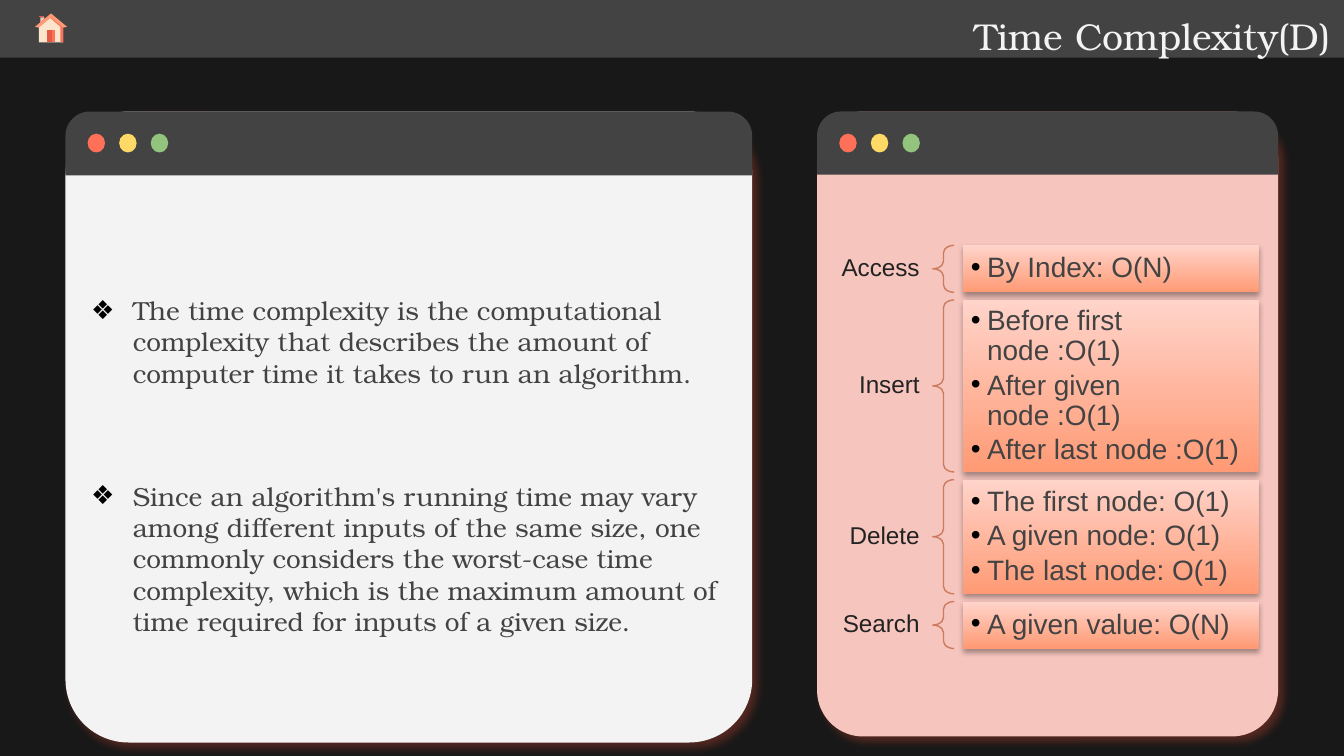
from dataclasses import dataclass

from lxml.etree import SubElement
from pptx import Presentation
from pptx.dml.color import RGBColor
from pptx.enum.shapes import MSO_SHAPE
from pptx.enum.text import MSO_ANCHOR, PP_ALIGN
from pptx.oxml.ns import qn
from pptx.util import Inches, Pt


@dataclass(frozen=True)
class Theme:
    back: str = "181818"
    bar: str = "434343"
    pale: str = "F3F3F3"
    pink: str = "F6C5BE"
    glow: str = "963A2A"
    label: str = "222222"
    black: str = "000000"
    brace: str = "CC7B5E"
    red: str = "FF7058"
    gold: str = "FFD966"
    green: str = "93C47D"
    rust: str = "E55A43"
    cream: str = "FCE5CD"
    peach: str = "FF9A75"
    blush: str = "FFD4CA"
    serif: str = "TeX Gyre Bonum"
    sans: str = "Arial"
    title: int = 20
    item: int = 15
    body: int = 14
    small: int = 13


def rgb(code):
    return RGBColor.from_string(code)


class Deck:
    """Draws on one slide; lengths are cells of a grid 100 columns wide."""

    def __init__(self, theme):
        self.theme = theme
        self.file = Presentation()
        self.file.slide_width = Inches(10)
        self.file.slide_height = self.file.slide_width * 9 // 16
        self.cell = self.file.slide_width / 100
        self.slide = self.file.slides.add_slide(self.file.slide_layouts[6])
        fill = self.slide.background.fill
        fill.solid()
        fill.fore_color.rgb = rgb(theme.back)

    def span(self, *cells):
        return [round(n * self.cell) for n in cells]

    def shape(self, kind, box, fill=None, adj=()):
        item = self.slide.shapes.add_shape(kind, *self.span(*box))
        for i, part in enumerate(adj):
            item.adjustments[i] = part
        return self.paint(item, fill)

    def paint(self, item, fill):
        item.shadow.inherit = False
        item.line.fill.background()
        if fill:
            item.fill.solid()
            item.fill.fore_color.rgb = rgb(fill)
        else:
            item.fill.background()
        return item

    def shade(self, item, color, alpha, blur, dist, angle):
        """Gives a shape an outer shadow; blur and distance are in points."""
        effects = item._element.spPr.find(qn("a:effectLst"))
        outer = SubElement(effects, qn("a:outerShdw"), blurRad=str(Pt(blur)),
                           dist=str(Pt(dist)), dir=str(angle * 60000),
                           algn="bl", rotWithShape="0")
        tone = SubElement(outer, qn("a:srgbClr"), val=color)
        SubElement(tone, qn("a:alpha"), val=str(alpha * 1000))

    def poly(self, points, fill):
        start, *rest = [self.span(*point) for point in points]
        form = self.slide.shapes.build_freeform(*start)
        form.add_line_segments(rest)
        self.paint(form.convert_to_shape(), fill)

    def text(self, box, lines, size, font, color, inset, align=PP_ALIGN.LEFT,
             pitch=1.0, after=0, mark=None, indent=0):
        frame = self.slide.shapes.add_textbox(*self.span(*box)).text_frame
        frame.word_wrap = True
        frame.vertical_anchor = MSO_ANCHOR.MIDDLE
        (frame.margin_left, frame.margin_top,
         frame.margin_right, frame.margin_bottom) = self.span(*inset)
        for i, line in enumerate(lines):
            para = frame.add_paragraph() if i else frame.paragraphs[0]
            para.alignment = align
            para.line_spacing = pitch
            para.space_after = Pt(after)
            if mark:
                self.bullet(para, mark, indent)
            run = para.add_run()
            run.text = line
            run.font.size = Pt(size)
            run.font.name = font
            run.font.color.rgb = rgb(color)
        return frame

    def bullet(self, para, mark, indent):
        props = para._p.get_or_add_pPr()
        left, = self.span(indent)
        props.set("marL", str(left))
        props.set("indent", str(-left))
        tone = SubElement(props, qn("a:buClr"))
        SubElement(tone, qn("a:srgbClr"), val=self.theme.black)
        SubElement(props, qn("a:buFont"), typeface=self.theme.sans)
        SubElement(props, qn("a:buChar"), char=mark)

    def window(self, left, top, wide, high, head, fill):
        """Draws a panel with a title strip and three round buttons."""
        t = self.theme
        panel = self.shape(MSO_SHAPE.ROUNDED_RECTANGLE,
                           (left, top, wide, high), fill, [0.1])
        self.shade(panel, t.glow, 47, 4.5, 3.8, 49)
        self.shape(MSO_SHAPE.ROUND_2_SAME_RECTANGLE,
                   (left, top, wide, head), t.bar, [0.38, 0])
        for i, color in enumerate((t.red, t.gold, t.green)):
            self.shape(MSO_SHAPE.OVAL,
                       (left + 1.65 + 2.35 * i, top + 1.65, 1.3, 1.4), color)

    def group(self, top, high, name, lines):
        """Draws one row: a label, a brace and a card of costs."""
        t = self.theme
        self.text((61.3, top + high / 2 - 1.6, 8.1, 3.2), [name], t.small,
                  t.sans, t.label, (1, 0.4, 1, 0.4), PP_ALIGN.RIGHT, 0.9)
        brace = self.shape(MSO_SHAPE.LEFT_BRACE, (69.4, top, 1.6, high),
                           adj=[0.35, 0.5])
        brace.line.color.rgb = rgb(t.brace)
        brace.line.width = Pt(0.75)
        box = 71.65, top, 22, high
        card = self.shape(MSO_SHAPE.RECTANGLE, box, t.peach)
        card.fill.gradient()
        card.fill.gradient_angle = 90
        for stop, color in zip(card.fill.gradient_stops, (t.peach, t.blush)):
            stop.color.rgb = rgb(color)
        self.shade(card, t.black, 35, 3.1, 1.8, 90)
        self.text(box, lines, t.item, t.sans, t.bar, [0.6] * 4,
                  pitch=0.9, after=2.25, mark="•", indent=1.2)

    def house(self):
        t = self.theme
        for fill, points in (
            (t.pink, [(3, 1.3), (3, 1.7), (3.3, 1.4), (3.3, 1.3)]),
            (t.cream, [(3.8, 1.2), (2.9, 2), (2.9, 3.15), (4.7, 3.15), (4.7, 2)]),
            (t.red, [(3.8, 1.2), (3.7, 1.3), (4.5, 2), (4.5, 3.15),
                     (4.7, 3.15), (4.7, 2)]),
            (t.rust, [(2.9, 1.2), (2.9, 1.3), (3.3, 1.3), (3.3, 1.2)]),
            (t.rust, [(3.5, 2.2), (3.5, 3.15), (4.1, 3.15), (4.1, 2.2)]),
            (t.red, [(3.9, 2.2), (3.9, 3.15), (4.1, 3.15), (4.1, 2.2)]),
            (t.peach, [(3.8, 1), (2.6, 2), (2.9, 2.05), (3.8, 1.3),
                       (4.7, 2.05), (5, 2)]),
        ):
            self.poly(points, fill)


def main():
    t = Theme()
    deck = Deck(t)
    deck.window(60.8, 8.3, 34.3, 46.5, 4.7, t.pink)
    deck.window(4.87, 8.3, 51.1, 46.95, 4.75, t.pale)
    notes = deck.text((5.8, 12.55, 49.3, 42.2), [
        "The time complexity is the computational complexity that describes "
        "the amount of computer time it takes to run an algorithm.",
        "Since an algorithm's running time may vary among different inputs "
        "of the same size, one commonly considers the worst-case time "
        "complexity, which is the maximum amount of time required for "
        "inputs of a given size.",
    ], t.body, t.serif, t.bar, (1, 2, 1, 0), after=16, mark="❖", indent=3.1)
    notes.paragraphs[0].space_after = Pt(49)

    deck.shape(MSO_SHAPE.RECTANGLE, (0, 0, 100, 4.3), t.bar)
    deck.house()
    deck.text((63.8, 0.7, 36.2, 3.5), ["Time Complexity(D)"], t.title,
              t.serif, t.pale, [1] * 4, PP_ALIGN.RIGHT, 1.1)

    top = 18.25
    for high, name, lines in (
        (3.5, "Access", ["By Index: O(N)"]),
        (12.8, "Insert", ["Before first node :O(1)", "After given node :O(1)",
                          "After last node :O(1)"]),
        (8.5, "Delete", ["The first node: O(1)", "A given node: O(1)",
                         "The last node: O(1)"]),
        (3.5, "Search", ["A given value: O(N)"]),
    ):
        deck.group(top, high, name, lines)
        top += high + 0.57
    deck.file.save("out.pptx")


if __name__ == "__main__":
    main()
